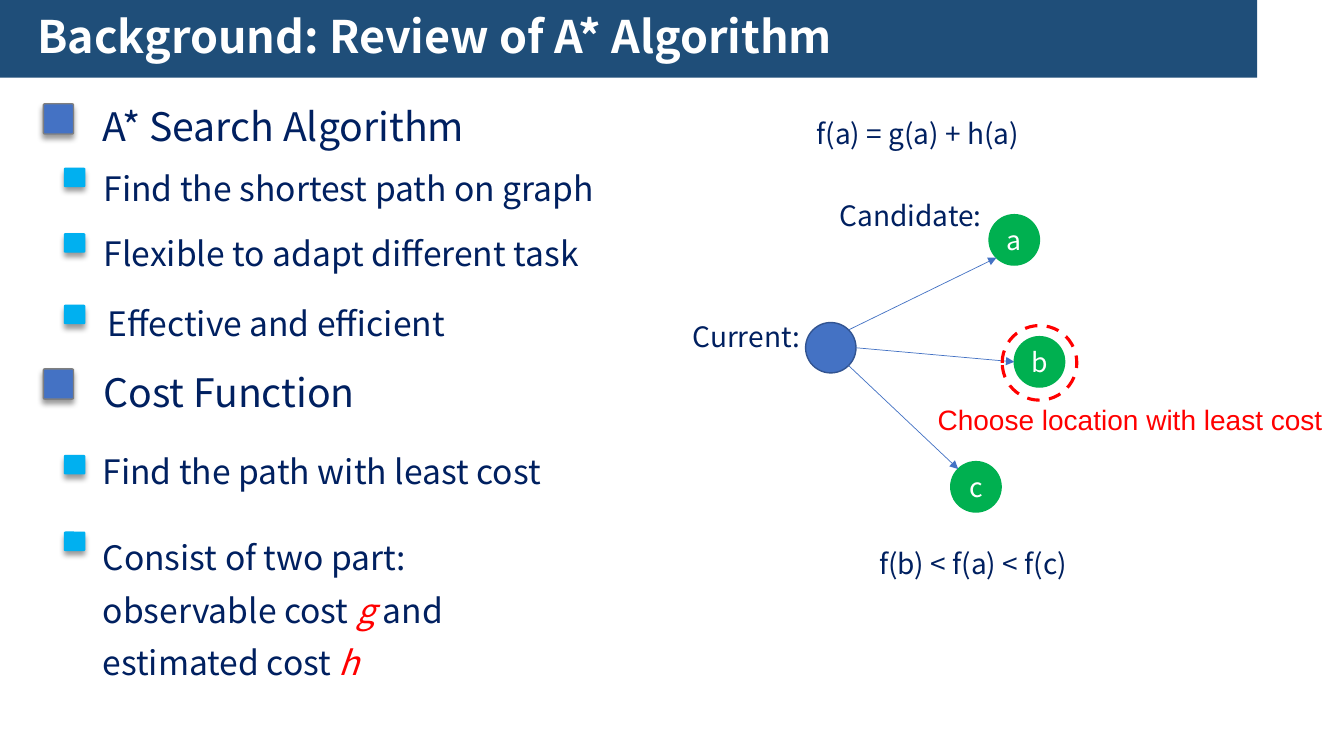
from math import cos, radians, sin

from lxml.etree import SubElement
from pptx import Presentation
from pptx.dml.color import RGBColor
from pptx.enum.dml import MSO_LINE_DASH_STYLE as Dash
from pptx.enum.shapes import MSO_CONNECTOR as Connector, MSO_SHAPE as Preset
from pptx.enum.text import MSO_ANCHOR as Anchor, PP_ALIGN as Align
from pptx.oxml.ns import qn
from pptx.util import Inches, Pt

NAVY = RGBColor(0x00, 0x20, 0x60)
BANNER = RGBColor(0x1F, 0x4E, 0x79)
BLUE = RGBColor(0x44, 0x72, 0xC4)
DARK_BLUE = RGBColor(0x32, 0x54, 0x91)
SKY = RGBColor(0x00, 0xB0, 0xF0)
GREEN = RGBColor(0x00, 0xB0, 0x50)
GRAY = RGBColor(0x7F, 0x7F, 0x7F)
RED = RGBColor(0xFF, 0x00, 0x00)
WHITE = RGBColor(0xFF, 0xFF, 0xFF)

CELL = 0.1
NODE_RADIUS = 2.5
BODY_FONT = "Noto Sans CJK SC"

MARKERS = {
    28: {"column": 4.3, "width": 3, "height": 3, "fill": BLUE, "line": GRAY},
    24: {"column": 6.4, "width": 2, "height": 1.8, "fill": SKY, "line": SKY},
}
OUTLINE = [
    (28, 10.3, (9.2, 8.3, 100.7, 10.7), [("A* Search Algorithm", {})]),
    (24, 16.7, (9.3, 15, 100.7, 9.8), [("Find the shortest path on graph", {})]),
    (24, 23.2, (9.3, 21.4, 100.7, 5.7), [("Flexible to adapt different task", {})]),
    (24, 30.3, (9.7, 28.4, 100.7, 5.7), [("Effective and efficient", {})]),
    (28, 36.6, (9.3, 34.6, 27.9, 6.5), [("Cost Function", {})]),
    (24, 45.2, (9.2, 43, 63.7, 9.8), [("Find the path with least cost", {})]),
    (24, 52.8, (9.2, 51.6, 49.4, 11.5), [
        ("Consist of two part: observable cost ", {}),
        ("g", {"color": RED, "italic": True}),
        (" and estimated cost ", {}),
        ("h", {"color": RED, "italic": True}),
    ]),
]
CURRENT = (82.4, 34.5)
CANDIDATES = [
    ("c", (96.8, 48.3), 45, 225),
    ("b", (103.1, 35.9), 0, 180),
    ("a", (100.6, 23.8), -45, 135),
]


def grid(*cells):
    """Turn grid columns or rows into lengths."""
    return [Inches(cell * CELL) for cell in cells]


def set_format(target, values):
    """Set every attribute named in values."""
    for name, value in values.items():
        setattr(target, name, value)


def add_run(paragraph, text, size, color=NAVY, **font):
    """Append formatted text to a paragraph."""
    run = paragraph.add_run()
    run.text = text
    set_format(run.font, {"name": BODY_FONT, "size": Pt(size), **font})
    run.font.color.rgb = color


def add_text(slide, box, runs, size, spacing=1.3, wrap=True, **font):
    """Place a text box made of (text, font values) runs."""
    frame = slide.shapes.add_textbox(*grid(*box)).text_frame
    frame.word_wrap = wrap
    paragraph = frame.paragraphs[0]
    paragraph.line_spacing = spacing
    for text, values in runs:
        add_run(paragraph, text, size, **{**font, **values})


def add_figure(slide, preset, box, fill=None, line=None, weight=1):
    """Draw a preset shape without the theme shadow."""
    shape = slide.shapes.add_shape(preset, *grid(*box))
    shape.shadow.inherit = False
    if fill is None:
        shape.fill.background()
    else:
        shape.fill.solid()
        shape.fill.fore_color.rgb = fill
    if line is None:
        shape.line.fill.background()
    else:
        shape.line.color.rgb = line
        shape.line.width = Pt(weight)
    return shape


def add_marker(slide, row, column, width, height, fill, line):
    """Draw a bullet square with a soft shadow below it."""
    box = (column, row, width, height)
    marker = add_figure(slide, Preset.ROUNDED_RECTANGLE, box, fill, line)
    marker.adjustments[0] = 0.05
    effects = marker._element.spPr.find(qn("a:effectLst"))
    shadow = SubElement(effects, qn("a:outerShdw"), blurRad=str(Pt(4)),
                        dist=str(Pt(3)), dir="5400000", rotWithShape="0")
    color = SubElement(shadow, qn("a:srgbClr"), val="000000")
    SubElement(color, qn("a:alpha"), val="40000")


def add_circle(slide, center, radius, fill=None, line=None, weight=1):
    """Draw a circle around its center."""
    box = (center[0] - radius, center[1] - radius, 2 * radius, 2 * radius)
    return add_figure(slide, Preset.FLOWCHART_CONNECTOR, box, fill, line, weight)


def add_candidate(slide, letter, center):
    """Draw a green node with its letter."""
    frame = add_circle(slide, center, NODE_RADIUS, GREEN, GREEN).text_frame
    set_format(frame, {"vertical_anchor": Anchor.MIDDLE, "margin_left": 0,
                       "margin_right": 0, "margin_top": 0, "margin_bottom": 0})
    paragraph = frame.paragraphs[0]
    paragraph.alignment = Align.CENTER
    add_run(paragraph, letter, 19, WHITE)


def rim(center, degrees):
    """Find the point of a node's rim at a clockwise angle."""
    angle = radians(degrees)
    return grid(center[0] + NODE_RADIUS * cos(angle),
                center[1] + NODE_RADIUS * sin(angle))


def add_arrow(slide, begin, end):
    """Draw a thin arrow between two points."""
    arrow = slide.shapes.add_connector(Connector.STRAIGHT, *begin, *end)
    arrow.line.color.rgb = BLUE
    arrow.line.width = Pt(0.5)
    SubElement(arrow.line._get_or_add_ln(), qn("a:tailEnd"), type="triangle")
    SubElement(arrow._element.spPr, qn("a:effectLst"))


def add_outline(slide):
    """Write the two topics and their points."""
    for size, marker_row, box, runs in OUTLINE:
        add_marker(slide, marker_row, **MARKERS[size])
        add_text(slide, box, runs, size)


def add_search_graph(slide):
    """Draw the current node, its candidates and their labels."""
    add_circle(slide, CURRENT, NODE_RADIUS, BLUE, DARK_BLUE)
    for letter, center, leave, arrive in CANDIDATES:
        add_candidate(slide, letter, center)
        add_arrow(slide, rim(CURRENT, leave), rim(center, arrive))
    choice = add_circle(slide, (103.1, 36), 3.7, line=RED, weight=2.25)
    choice.line.dash_style = Dash.DASH
    add_text(slide, (67.7, 30.2, 14.6, 5), [("Current:", {})], 20)
    add_text(slide, (82.3, 18.2, 19.4, 5), [("Candidate:", {})], 20)
    add_text(slide, (86.2, 52.7, 45.8, 5), [("f(b) < f(a) < f(c)", {})], 20)
    add_text(slide, (92, 39.4, 40.5, 4.4), [("Choose location with least cost", {})],
             20, spacing=1, wrap=False, name="Arial", color=RED)
    add_text(slide, (80, 11.1, 24.2, 4.4), [("f(a) = g(a) + h(a)", {})],
             20, spacing=1, wrap=False)


def main():
    """Build the slide and save it."""
    presentation = Presentation()
    set_format(presentation, {"slide_width": Inches(13.33),
                              "slide_height": Inches(7.5)})
    slide = presentation.slides.add_slide(presentation.slide_layouts[6])
    add_figure(slide, Preset.RECTANGLE, (0, 0, 124.7, 7.7), BANNER)
    add_outline(slide)
    add_search_graph(slide)
    add_text(slide, (2.7, 0.4, 122.8, 6.4),
             [("Background: Review of A* Algorithm", {})],
             32, spacing=1, color=WHITE, bold=True)
    presentation.save("out.pptx")


if __name__ == "__main__":
    main()
